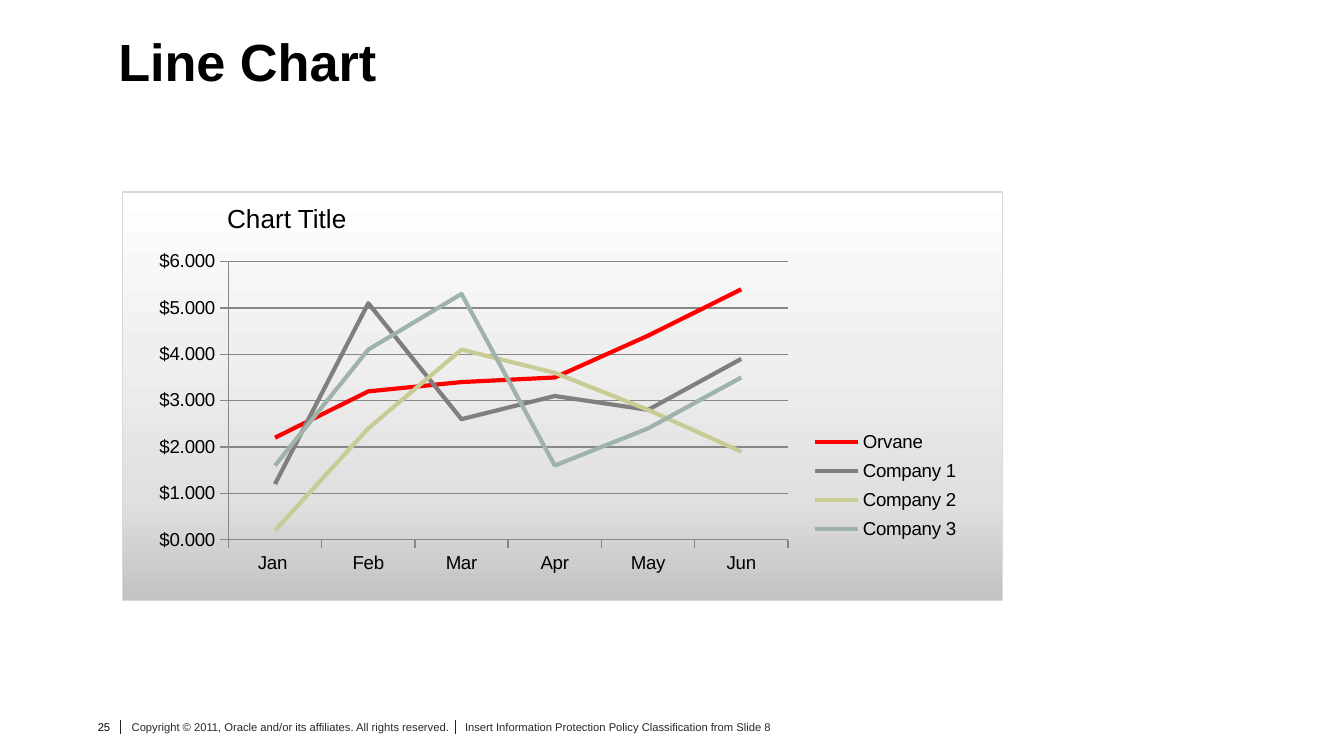
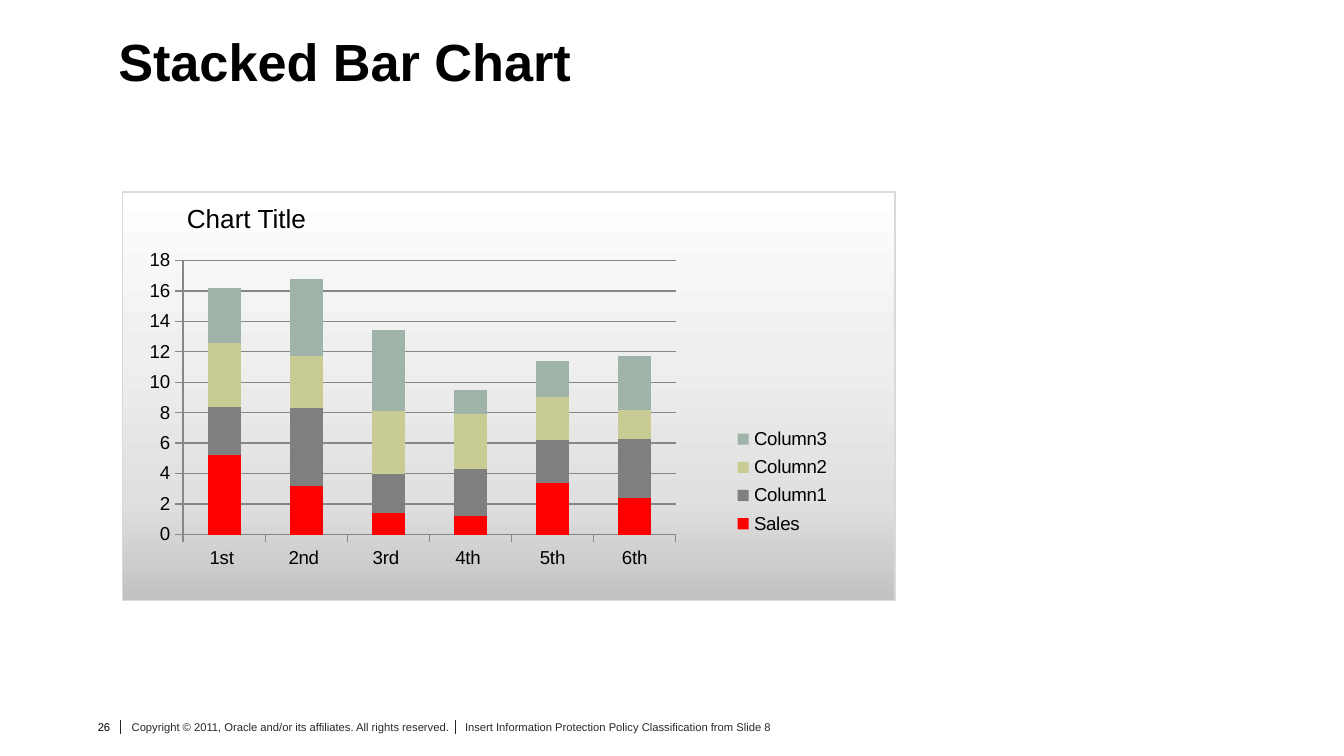
"""Build two chart slides with a shared title, panel and footer style."""
import pptx
import pptx.chart.data
import pptx.dml.color
import pptx.enum.chart
import pptx.enum.shapes
import pptx.enum.text
import pptx.oxml
import pptx.oxml.ns
import pptx.util
from pptx.util import Inches

BLACK = pptx.dml.color.RGBColor(0x00, 0x00, 0x00)
FOOTER_TEXT = pptx.dml.color.RGBColor(0x29, 0x29, 0x29)
FOOTER_RULE = pptx.dml.color.RGBColor(0x26, 0x26, 0x26)
PANEL_BORDER = pptx.dml.color.RGBColor(0xD9, 0xD9, 0xD9)
AXIS_GRAY = pptx.dml.color.RGBColor(0x87, 0x87, 0x87)
RED = pptx.dml.color.RGBColor(0xFF, 0x00, 0x00)
GRAY = pptx.dml.color.RGBColor(0x7F, 0x7F, 0x7F)
OLIVE = pptx.dml.color.RGBColor(0xC8, 0xCC, 0x94)
SAGE = pptx.dml.color.RGBColor(0x9F, 0xB3, 0xA9)
SERIES_COLORS = (RED, GRAY, OLIVE, SAGE)
PANEL_STOPS = ((0, "C2C2C2"), (25, "E0E0E0"), (61, "EFEFEF"), (100, "FFFFFF"))
FONT = "Arial"
COPYRIGHT = "Copyright © 2011, Oracle and/or its affiliates. All rights reserved."
CLASSIFICATION = "Insert Information Protection Policy Classification from Slide 8"


def set_font(font, size, color=BLACK, bold=False):
    """Apply the shared typeface with a size, colour and weight."""
    font.name = FONT
    font.size = pptx.util.Pt(size)
    font.color.rgb = color
    font.bold = bold


def set_margins(frame, left, top, right, bottom):
    """Set the four insets of a text frame."""
    frame.margin_left, frame.margin_top = Inches(left), Inches(top)
    frame.margin_right, frame.margin_bottom = Inches(right), Inches(bottom)


def add_title(slide, text):
    """Fill and place the title placeholder."""
    title = slide.shapes.title
    title.left, title.top = Inches(0.88), Inches(0.22)
    title.width, title.height = Inches(8.69), Inches(0.58)
    frame = title.text_frame
    frame.text = text
    set_margins(frame, 0, 0, 0, 0.06)
    frame.auto_size = pptx.enum.text.MSO_AUTO_SIZE.NONE
    frame.vertical_anchor = pptx.enum.text.MSO_ANCHOR.MIDDLE
    paragraph = frame.paragraphs[0]
    paragraph.alignment = pptx.enum.text.PP_ALIGN.LEFT
    paragraph.line_spacing = 0.9
    set_font(paragraph.font, 28, bold=True)


def add_text(slide, text, box, size, margins, color=BLACK, align="LEFT"):
    """Add a one-paragraph text box."""
    frame = slide.shapes.add_textbox(*map(Inches, box)).text_frame
    frame.text = text
    frame.word_wrap = True
    set_margins(frame, *margins)
    paragraph = frame.paragraphs[0]
    paragraph.alignment = pptx.enum.text.PP_ALIGN[align]
    set_font(paragraph.font, size, color)


def add_footer(slide, number):
    """Add the slide number, the two notices and their dividers."""
    add_text(slide, str(number), (0.69, 5.33, 0.17, 0.24), 6,
             (0, 0.03, 0.04, 0.02), align="RIGHT")
    notices = ((0.9, 0.94, 2.44, COPYRIGHT), (3.39, 3.42, 2.47, CLASSIFICATION))
    for rule_left, left, width, text in notices:
        add_text(slide, text, (left, 5.33, width, 0.24), 6,
                 (0.04, 0.03, 0, 0.02), FOOTER_TEXT)
        rule = slide.shapes.add_connector(
            pptx.enum.shapes.MSO_CONNECTOR.STRAIGHT,
            Inches(rule_left), Inches(5.36), Inches(rule_left), Inches(5.46))
        rule.line.color.rgb = FOOTER_RULE
        rule.line.width = pptx.util.Pt(0.5)
        properties = rule._element.spPr
        properties.append(properties.makeelement(pptx.oxml.ns.qn("a:effectLst")))


def add_panel(slide, width):
    """Add the gradient panel behind a chart."""
    panel = slide.shapes.add_shape(
        pptx.enum.shapes.MSO_SHAPE.RECTANGLE,
        Inches(0.91), Inches(1.43), Inches(width), Inches(3.04))
    panel.shadow.inherit = False
    panel.line.color.rgb = PANEL_BORDER
    panel.line.width = pptx.util.Pt(0.75)
    panel.fill.gradient()
    panel.fill.gradient_angle = 90
    stops = panel._element.spPr.find(".//" + pptx.oxml.ns.qn("a:gsLst"))
    for stop in list(stops):
        stops.remove(stop)
    for percent, color in PANEL_STOPS:
        stops.append(pptx.oxml.parse_xml(
            f'<a:gs {pptx.oxml.ns.nsdecls("a")} pos="{percent * 1000}">'
            f'<a:srgbClr val="{color}"/></a:gs>'))


def layout_xml(box, inner=False):
    """Return a manual layout element for a chart part."""
    target = '<c:layoutTarget val="inner"/>' if inner else ""
    modes = '<c:xMode val="edge"/><c:yMode val="edge"/>'
    sizes = "".join(f'<c:{key} val="{value}"/>' for key, value in zip("xywh", box))
    return pptx.oxml.parse_xml(
        f'<c:layout {pptx.oxml.ns.nsdecls("c")}><c:manualLayout>'
        f"{target}{modes}{sizes}</c:manualLayout></c:layout>")


def no_fill_xml():
    """Return chart shape properties without fill or line."""
    return pptx.oxml.parse_xml(
        f'<c:spPr {pptx.oxml.ns.nsdecls("c", "a")}>'
        "<a:noFill/><a:ln><a:noFill/></a:ln></c:spPr>")


def place_chart_parts(chart, plot_box, legend_box):
    """Position the plot and legend and make the backgrounds clear."""
    qn = pptx.oxml.ns.qn
    space = chart._chartSpace
    plot_area = space.find(".//" + qn("c:plotArea"))
    legend = space.find(".//" + qn("c:legend"))
    for part in (plot_area, legend):
        for layout in part.findall(qn("c:layout")):
            part.remove(layout)
    plot_area.insert(0, layout_xml(plot_box, inner=True))
    plot_area.append(no_fill_xml())
    legend.find(qn("c:legendPos")).addnext(layout_xml(legend_box))
    space.find(qn("c:chart")).addnext(no_fill_xml())


def format_axes(chart, maximum, unit, number_format):
    """Style both axes and the gridlines."""
    value_axis = chart.value_axis
    value_axis.minimum_scale = 0
    value_axis.maximum_scale = maximum
    value_axis.major_unit = unit
    value_axis.has_major_gridlines = True
    value_axis.tick_labels.number_format = number_format
    value_axis.tick_labels.number_format_is_linked = False
    for axis in (chart.category_axis, value_axis):
        axis.major_tick_mark = pptx.enum.chart.XL_TICK_MARK.OUTSIDE
        set_font(axis.tick_labels.font, 10)
    for part in (chart.category_axis, value_axis, value_axis.major_gridlines):
        part.format.line.color.rgb = AXIS_GRAY
        part.format.line.width = pptx.util.Pt(0.75)


def add_chart(slide, kind, box, categories, series, scale, plot_box, legend_box):
    """Add a chart with a right-hand legend and return it."""
    data = pptx.chart.data.CategoryChartData()
    data.categories = categories
    for name, values in series:
        data.add_series(name, values)
    chart = slide.shapes.add_chart(kind, *map(Inches, box), data).chart
    chart.has_title = False
    chart.font.name = "Calibri"
    chart.font.size = pptx.util.Pt(10)
    chart.font.color.rgb = BLACK
    chart.has_legend = True
    chart.legend.position = pptx.enum.chart.XL_LEGEND_POSITION.RIGHT
    chart.legend.include_in_layout = False
    set_font(chart.legend.font, 10)
    chart.plots[0].vary_by_categories = False
    format_axes(chart, *scale)
    place_chart_parts(chart, plot_box, legend_box)
    return chart


def add_chart_slide(presentation, number, title, panel_width, heading_left):
    """Add a slide with the shared title, footer, panel and chart heading."""
    slide = presentation.slides.add_slide(presentation.slide_layouts[5])
    add_footer(slide, number)
    add_panel(slide, panel_width)
    add_title(slide, title)
    add_text(slide, "Chart Title", (heading_left, 1.46, 1.64, 0.34), 14, (0.05,) * 4)
    return slide


def add_line_slide(presentation):
    """Add the line chart slide."""
    slide = add_chart_slide(presentation, 25, "Line Chart", 6.55, 1.64)
    series = (
        ("Orvane", (2.2, 3.2, 3.4, 3.5, 4.4, 5.4)),
        ("Company 1", (1.2, 5.1, 2.6, 3.1, 2.8, 3.9)),
        ("Company 2", (0.2, 2.4, 4.1, 3.6, 2.8, 1.9)),
        ("Company 3", (1.6, 4.1, 5.3, 1.6, 2.4, 3.5)),
    )
    chart = add_chart(
        slide, pptx.enum.chart.XL_CHART_TYPE.LINE, (0.84, 1.65, 6.61, 2.69),
        ("Jan ", "Feb", "Mar", "Apr", "May", "Jun"), series,
        (6, 1, r"\$#,##0.000"), (0.13, 0.11, 0.63, 0.77), (0.78, 0.56, 0.18, 0.34))
    for line, color in zip(chart.plots[0].series, SERIES_COLORS):
        line.smooth = False
        line.format.line.color.rgb = color
        line.format.line.width = pptx.util.Pt(2.25)


def add_stacked_slide(presentation):
    """Add the stacked column chart slide."""
    slide = add_chart_slide(presentation, 26, "Stacked Bar Chart", 5.75, 1.34)
    series = (
        ("Sales", (5.2, 3.2, 1.4, 1.2, 3.4, 2.4)),
        ("Column1", (3.2, 5.1, 2.6, 3.1, 2.8, 3.9)),
        ("Column2", (4.2, 3.4, 4.1, 3.6, 2.8, 1.9)),
        ("Column3", (3.6, 5.1, 5.3, 1.6, 2.4, 3.5)),
    )
    chart = add_chart(
        slide, pptx.enum.chart.XL_CHART_TYPE.COLUMN_STACKED, (0.98, 1.76, 5.47, 2.55),
        ("1st ", "2nd ", "3rd ", "4th ", "5th", "6th"), series,
        (18, 2, "General"), (0.07, 0.07, 0.67, 0.8), (0.81, 0.54, 0.15, 0.35))
    plot = chart.plots[0]
    plot.gap_width = 150
    plot.overlap = 100
    for column, color in zip(plot.series, SERIES_COLORS):
        column.format.fill.solid()
        column.format.fill.fore_color.rgb = color


def main():
    """Build and save the presentation."""
    presentation = pptx.Presentation()
    presentation.slide_width = Inches(10)
    presentation.slide_height = Inches(10) * 9 // 16
    add_line_slide(presentation)
    add_stacked_slide(presentation)
    presentation.save("out.pptx")


if __name__ == "__main__":
    main()
